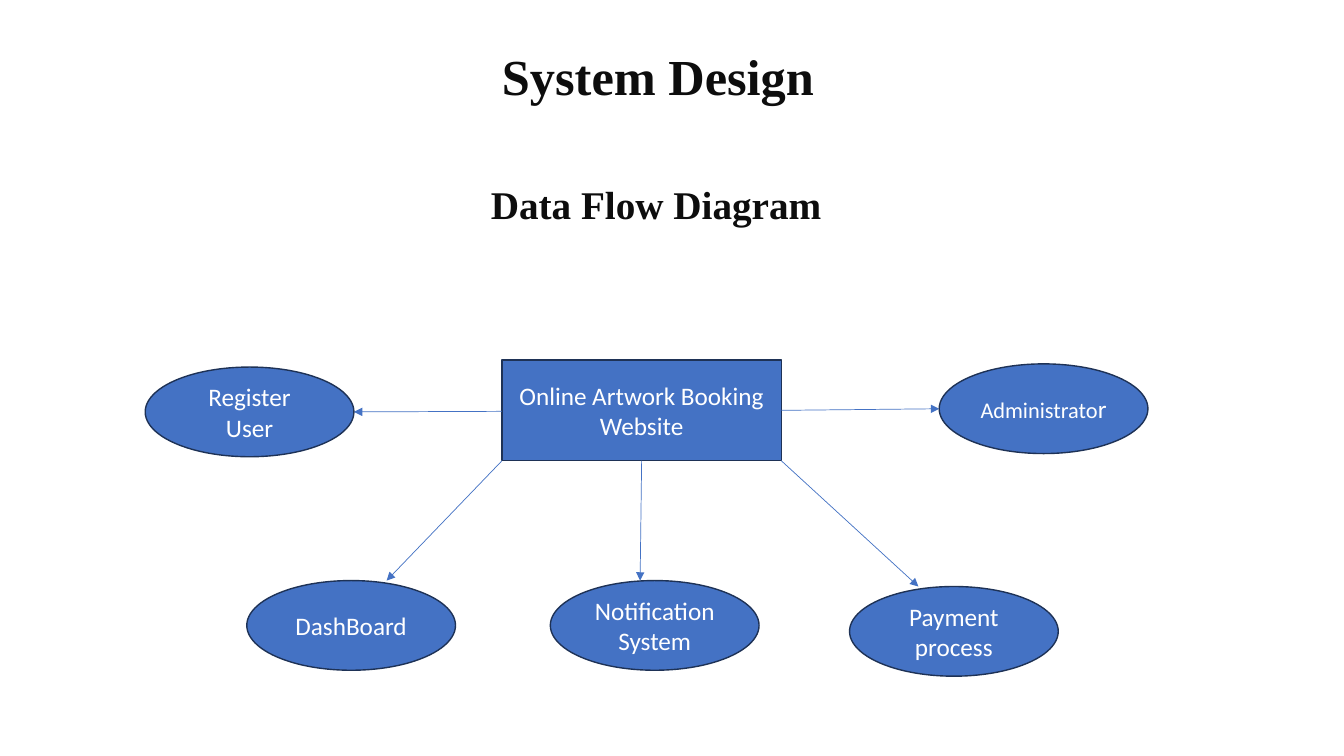
from pptx import Presentation
from pptx.dml.color import RGBColor
from pptx.enum.shapes import MSO_CONNECTOR as Connector, MSO_SHAPE as Preset
from pptx.enum.text import MSO_ANCHOR as Anchor, MSO_AUTO_SIZE as AutoSize, PP_ALIGN as Align
from pptx.oxml.ns import qn
from pptx.util import Cm, Pt
from lxml.etree import SubElement

BLUE = RGBColor(0x44, 0x72, 0xC4)
NAVY = RGBColor(0x1E, 0x32, 0x56)
INK = RGBColor(0x0D, 0x0D, 0x0D)
WHITE = RGBColor(0xFF, 0xFF, 0xFF)

HEADINGS = [
    ("System Design", 36, (12.4, 1.02, 18.05, 1.8)),
    ("Data Flow Diagram", 28, (12.12, 4.42, 9.93, 1.45)),
]
WEBSITE_RUNS = [("Online Artwork Booking Website", 18)]
WEBSITE_BOX = (12.65, 9.07, 7.04, 2.54)
NODE_SIZE = (5.26, 2.26)
# Each node: text runs, left and top, arrow start on the website, arrow tip on the node
NODES = [
    ([("Register User", 18)], (3.66, 9.25), (0, 0.51), (1, 0.5)),
    ([("DashBoard", 18)], (6.22, 14.63), (0, 1), (0.67, 0)),
    ([("Notification System", 18)], (13.87, 14.63), (0.5, 1), (0.43, 0)),
    ([("Payment process", 18)], (21.41, 14.78), (1, 1), (0.33, 0)),
    ([("Administrato", 16), ("r", 18)], (23.67, 9.17), (1, 0.5), (0, 0.5)),
]


def add_run(paragraph, text, size, font_name, color, bold=False):
    run = paragraph.add_run()
    run.text = text
    run.font.size = Pt(size)
    run.font.name = font_name
    run.font.color.rgb = color
    run.font.bold = bold


def add_heading(slide, text, size, box):
    frame = slide.shapes.add_textbox(*map(Cm, box)).text_frame
    frame.word_wrap = True
    frame.auto_size = AutoSize.SHAPE_TO_FIT_TEXT
    add_run(frame.paragraphs[0], text, size, "Times New Roman", INK, True)


def add_block(slide, preset, box, runs):
    shape = slide.shapes.add_shape(preset, *map(Cm, box))
    shape.shadow.inherit = False
    shape.fill.solid()
    shape.fill.fore_color.rgb = BLUE
    shape.line.color.rgb = NAVY
    shape.line.width = Pt(1)
    frame = shape.text_frame
    frame.word_wrap = True
    frame.vertical_anchor = Anchor.MIDDLE
    paragraph = frame.paragraphs[0]
    paragraph.alignment = Align.CENTER
    for text, size in runs:
        add_run(paragraph, text, size, "Calibri", WHITE)


def point_on(box, fractions):
    left, top, width, height = box
    return Cm(left + width * fractions[0]), Cm(top + height * fractions[1])


def add_arrow(slide, start, tip):
    arrow = slide.shapes.add_connector(Connector.STRAIGHT, *start, *tip)
    arrow.line.color.rgb = BLUE
    arrow.line.width = Pt(0.5)
    SubElement(arrow.line._get_or_add_ln(), qn("a:tailEnd"), type="triangle")
    SubElement(arrow._element.spPr, qn("a:effectLst"))


def main():
    presentation = Presentation()
    presentation.slide_width = Cm(33.87)
    presentation.slide_height = Cm(19.05)
    slide = presentation.slides.add_slide(presentation.slide_layouts[6])
    for heading in HEADINGS:
        add_heading(slide, *heading)
    add_block(slide, Preset.RECTANGLE, WEBSITE_BOX, WEBSITE_RUNS)
    for runs, corner, start, tip in NODES:
        node_box = corner + NODE_SIZE
        add_arrow(slide, point_on(WEBSITE_BOX, start), point_on(node_box, tip))
        add_block(slide, Preset.OVAL, node_box, runs)
    presentation.save("out.pptx")


if __name__ == "__main__":
    main()
